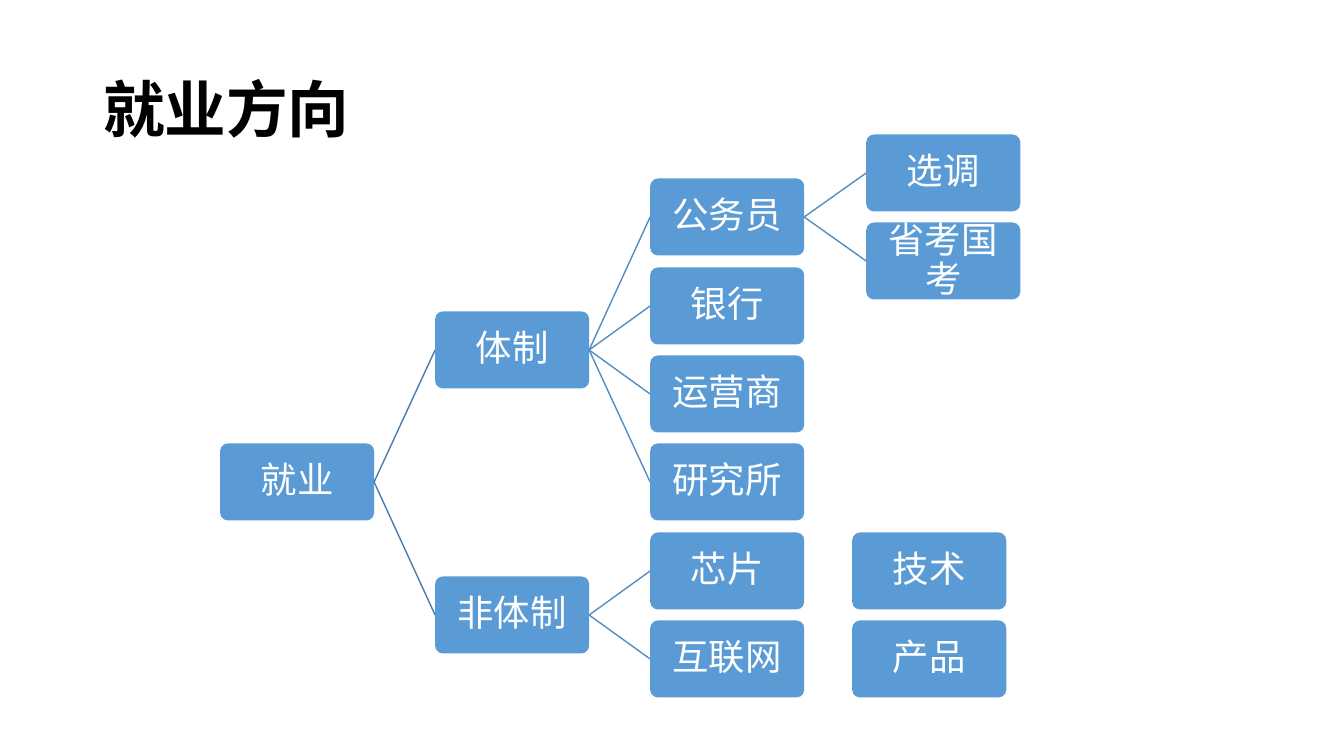
from dataclasses import dataclass

from lxml import etree
from pptx import Presentation
from pptx.dml.color import RGBColor
from pptx.enum.shapes import MSO_CONNECTOR, MSO_SHAPE
from pptx.enum.text import MSO_ANCHOR, PP_ALIGN
from pptx.oxml.ns import qn
from pptx.util import Inches, Pt

ROUND = MSO_SHAPE.ROUNDED_RECTANGLE
LINE = MSO_CONNECTOR.STRAIGHT
MID = MSO_ANCHOR.MIDDLE
LEFT, CENTER = PP_ALIGN.LEFT, PP_ALIGN.CENTER

SCALE = 914400 / 100.8
FONT = "Noto Sans CJK SC"
BLUE, WHITE, BLACK = "5B9BD5", "FFFFFF", "000000"
ROOT_LINE, SUB_LINE = "497CAB", "538DC1"

# Tree grid: nodes sit on half rows
WIDE, HIGH = 154, 77
COLS = (220, 435, 650, 866)
SIDE = 852
TOP, HALF = 173, 44.2


@dataclass(frozen=True)
class Node:
    text: str
    left: int
    row: int
    parent: str = ""

    @property
    def mid(self) -> int:
        return round(TOP + self.row * HALF)


NODES = (
    Node("就业", COLS[0], 7),
    Node("体制", COLS[1], 4, "就业"),
    Node("公务员", COLS[2], 1, "体制"),
    Node("选调", COLS[3], 0, "公务员"),
    Node("省考国考", COLS[3], 2, "公务员"),
    Node("银行", COLS[2], 3, "体制"),
    Node("运营商", COLS[2], 5, "体制"),
    Node("研究所", COLS[2], 7, "体制"),
    Node("非体制", COLS[1], 10, "就业"),
    Node("芯片", COLS[2], 9, "非体制"),
    Node("互联网", COLS[2], 11, "非体制"),
    Node("技术", SIDE, 9),
    Node("产品", SIDE, 11),
)


def px(size: float) -> int:
    return round(size * SCALE)


def color(code: str) -> RGBColor:
    return RGBColor.from_string(code)


def write(shape, text: str, *, size: int, tint: str, bold: bool = False,
          align=LEFT, pad: tuple[int, int] = (10, 5)) -> None:
    frame = shape.text_frame
    frame.word_wrap = True
    frame.vertical_anchor = MID
    frame.margin_left = frame.margin_right = px(pad[0])
    frame.margin_top = frame.margin_bottom = px(pad[1])
    para = frame.paragraphs[0]
    para.alignment = align
    para.line_spacing = 0.9
    run = para.add_run()
    run.text = text
    font = run.font
    font.size, font.bold, font.name = Pt(size), bold, FONT
    font.color.rgb = color(tint)
    east = etree.SubElement(run._r.get_or_add_rPr(), qn("a:ea"))
    east.set("typeface", FONT)


def draw_node(slide, node: Node) -> None:
    box = slide.shapes.add_shape(ROUND, px(node.left), px(node.mid - HIGH / 2),
                                 px(WIDE), px(HIGH))
    box.adjustments[0] = 0.1
    box.shadow.inherit = False
    box.fill.solid()
    box.fill.fore_color.rgb = color(BLUE)
    box.line.fill.background()
    write(box, node.text, size=26, tint=WHITE, align=CENTER, pad=(3, 2))


def draw_link(slide, start: Node, end: Node) -> None:
    link = slide.shapes.add_connector(LINE, px(start.left + WIDE), px(start.mid),
                                      px(end.left), px(end.mid))
    link.line.width = Pt(1)
    link.line.color.rgb = color(SUB_LINE if start.parent else ROOT_LINE)
    etree.SubElement(link._element.spPr, qn("a:effectLst"))


deck = Presentation()
deck.slide_width, deck.slide_height = Inches(13.33), Inches(7.5)
slide = deck.slides.add_slide(deck.slide_layouts[6])

# Title
title = slide.shapes.add_textbox(px(93), px(40), px(1159), px(146))
write(title, "就业方向", size=44, tint=BLACK, bold=True)

# Career tree
names = {node.text: node for node in NODES}
for node in NODES:
    if node.parent:
        draw_link(slide, names[node.parent], node)
    draw_node(slide, node)

deck.save("out.pptx")
